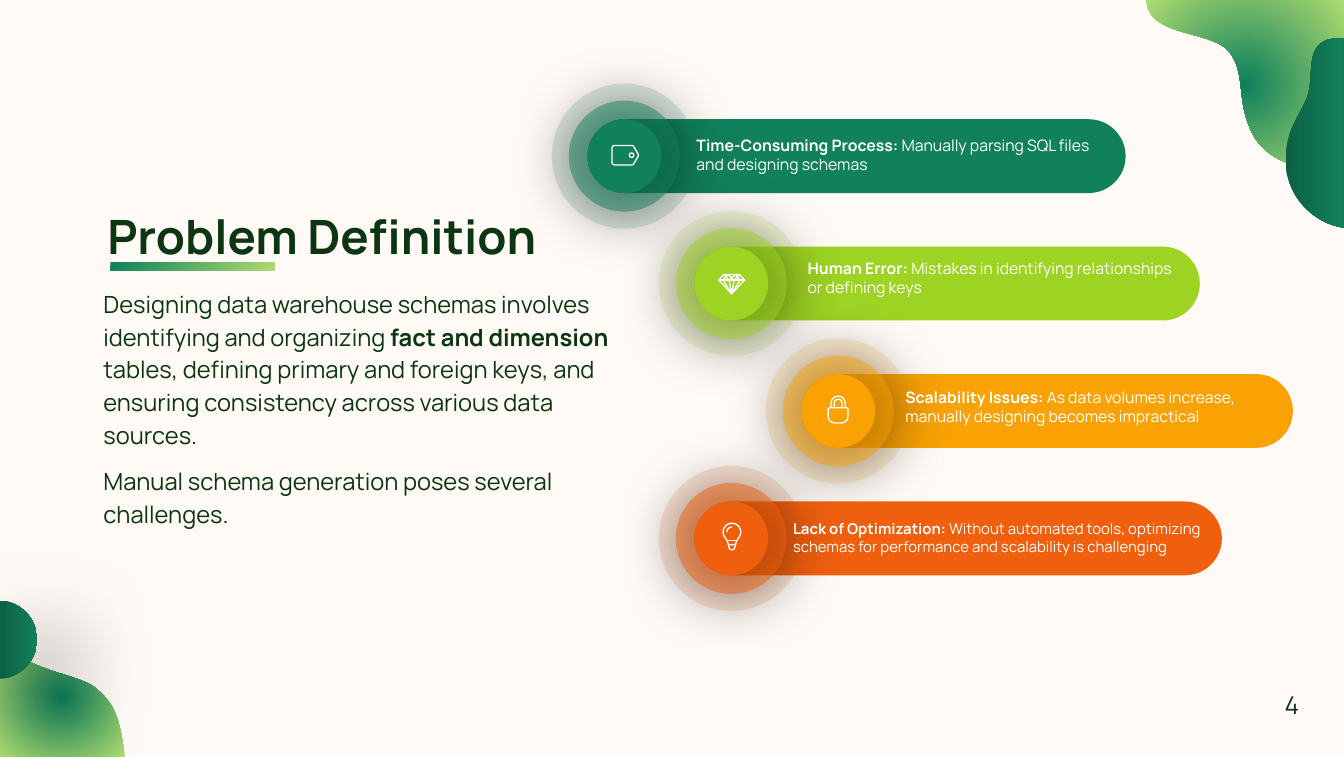
import dataclasses

import pptx
import pptx.dml.color
import pptx.enum.shapes
import pptx.enum.text
import pptx.oxml
import pptx.oxml.ns
import pptx.util

CELL = pptx.util.Inches(0.1)  # the grid has 213 columns and 120 rows
COLUMNS, ROWS = 213, 120
SHAPE = pptx.enum.shapes.MSO_SHAPE
ALIGN = pptx.enum.text.PP_ALIGN


@dataclasses.dataclass(frozen=True)
class Theme:
    font: str = "Manrope"
    paper: str = "FFFAF5"
    ink: str = "0C3512"
    white: str = "FFFFFF"
    black: str = "000000"
    forest: str = "0C6044"
    green: str = "11815C"
    leaf: str = "B0DC70"
    lime: str = "9DD323"
    amber: str = "FAA204"
    orange: str = "F05F0E"
    title_size: float = 54
    body_size: float = 27
    label_size: float = 18
    small_label_size: float = 17
    number_size: float = 28
    icon_line: float = 1.5


THEME = Theme()
RADIAL = ('<a:path path="circle"><a:fillToRect l="50000" t="50000" '
          'r="50000" b="50000"/></a:path>')

# Outlines in cells: M move, L line, C curve, Z close.
LOWER_WAVE = ("M 0 100.9 C 3.6 106.6 12.3 106.6 15.2 109.1 "
              "C 18.2 111.7 18.9 113.5 19.8 120 L 0 120 Z")
LOWER_DISC = ("M 0 95.2 L 0.9 95.3 C 3.7 95.8 5.9 98.4 5.9 101.4 "
              "C 5.9 104.4 3.7 106.9 0.9 107.5 L 0 107.6 Z")
UPPER_WAVE = ("M 181.6 0 C 182 6 192 4.7 194.8 8.2 C 197.5 11.6 195.9 15.5 198.2 20.6 "
              "C 200.4 25.6 206 27.4 213 26.6 L 213 0 Z")
UPPER_DROP = ("M 213 6.1 C 206 5.5 208.6 12 207.1 15.6 C 205.6 19.1 203.1 21.3 203.9 27.5 "
              "C 205.1 32.9 209.6 35.7 213 36.1 Z")

# Icons, measured from the corner of their disc.
TAG = ("M 4.35 4.15 L 7 4.15 C 7.15 4.15 7.25 4.2 7.35 4.35 L 8 5.45 C 8.1 5.6 8.1 5.8 8 5.95 "
       "L 7.35 7.05 C 7.25 7.2 7.15 7.25 7 7.25 L 4.35 7.25 C 4.1 7.25 3.9 7.05 3.9 6.8 "
       "L 3.9 4.6 C 3.9 4.35 4.1 4.15 4.35 4.15 Z "
       "M 6.65 5.7 C 6.65 5.25 7.35 5.25 7.35 5.7 C 7.35 6.15 6.65 6.15 6.65 5.7 Z")
DIAMOND = ("M 4.65 4.4 L 7.15 4.4 L 7.95 5.3 L 5.9 7.45 L 3.85 5.3 Z M 3.85 5.3 L 7.95 5.3 "
           "M 4.65 4.4 L 5.5 5.3 L 6.5 4.4 L 7.25 5.3 L 5.9 7.45 L 4.55 5.3 "
           "L 5.3 4.4 L 6.3 5.3 L 7.15 4.4 M 5.5 5.3 L 5.9 7.45 L 6.3 5.3")
PADLOCK = ("M 4.55 5.35 L 7.1 5.35 C 7.3 5.35 7.4 5.5 7.4 5.65 L 7.4 6.6 "
           "C 7.4 7.3 7 7.75 6.3 7.75 L 5.4 7.75 C 4.7 7.75 4.25 7.3 4.25 6.6 "
           "L 4.25 5.65 C 4.25 5.5 4.4 5.35 4.55 5.35 Z "
           "M 4.7 5.35 L 4.7 4.7 C 4.7 3.1 6.95 3.1 6.95 4.7 L 6.95 5.35 "
           "M 5.2 5.35 L 5.2 4.7 C 5.2 3.75 6.45 3.75 6.45 4.7 L 6.45 5.35")
BULB = ("M 5.95 3.45 C 5.15 3.45 4.55 4.1 4.55 4.85 C 4.55 5.5 5.2 6 5.35 6.7 "
        "C 5.5 7.3 5.5 7.65 5.95 7.65 C 6.4 7.65 6.4 7.3 6.55 6.7 "
        "C 6.7 6 7.35 5.5 7.35 4.85 C 7.35 4.1 6.75 3.45 5.95 3.45 Z "
        "M 5.15 6.2 L 6.75 6.2 M 5.45 6.9 L 6.45 6.8 M 5.15 4.85 C 5.15 4.4 5.5 4.05 5.95 4.05")


def cells(*values):
    return [round(value * CELL) for value in values]


def rgb(color):
    return pptx.dml.color.RGBColor.from_string(color)


def xml(tag, attributes="", content=""):
    namespace = pptx.oxml.ns.nsdecls("a")
    return pptx.oxml.parse_xml(f"<a:{tag} {namespace} {attributes}>{content}</a:{tag}>")


def contours(outline, left, top, steps=12):
    """Yield (points, closed) for each contour, with curves cut into short lines."""
    for part in outline.split("M")[1:]:
        tokens = part.replace("Z", "").replace("L", "|L").replace("C", "|C").split("|")
        points = [tuple(map(float, tokens[0].split()))]
        for token in tokens[1:]:
            numbers = list(map(float, token[1:].split()))
            corners = [points[-1], *zip(numbers[::2], numbers[1::2])]
            if token[0] == "L":
                points.append(corners[1])
                continue
            for step in range(1, steps + 1):
                t = step / steps
                weights = ((1 - t) ** 3, 3 * t * (1 - t) ** 2, 3 * t * t * (1 - t), t ** 3)
                points.append(tuple(sum(weight * corner[axis] for weight, corner
                                        in zip(weights, corners)) for axis in (0, 1)))
        yield [cells(left + x, top + y) for x, y in points], "Z" in part


class Page:
    def __init__(self, deck, theme):
        self.theme = theme
        self.slide = deck.slides.add_slide(deck.slide_layouts[5])
        self.slide.background.fill.solid()
        self.slide.background.fill.fore_color.rgb = rgb(theme.paper)

    def paint(self, shape, color, opacity=100):
        shape.shadow.inherit = False
        shape.line.fill.background()
        shape.fill.solid()
        shape.fill.fore_color.rgb = rgb(color)
        if opacity < 100:
            solid = shape._element.spPr.find(pptx.oxml.ns.qn("a:solidFill"))
            solid[0].append(xml("alpha", f'val="{opacity * 1000}"'))
        return shape

    def gradient(self, shape, stops, direction):
        self.paint(shape, stops[0][1])
        content = "".join(f'<a:gs pos="{place * 1000}"><a:srgbClr val="{color}"/></a:gs>'
                          for place, color in stops)
        properties = shape._element.spPr
        properties.replace(properties.find(pptx.oxml.ns.qn("a:solidFill")),
                           xml("gradFill", 'rotWithShape="1"',
                               f"<a:gsLst>{content}</a:gsLst>{direction}"))
        return shape

    def fresh_gradient(self, shape, direction):
        stops = [(0, self.theme.green), (2, self.theme.green), (100, self.theme.leaf)]
        return self.gradient(shape, stops, direction)

    def deep_gradient(self, shape):
        stops = [(0, self.theme.forest), (100, self.theme.green)]
        return self.gradient(shape, stops, '<a:lin ang="0" scaled="0"/>')

    def soft_shadow(self, shape, opacity, blur, distance, angle):
        effects = shape._element.spPr.find(pptx.oxml.ns.qn("a:effectLst"))
        effects.append(xml(
            "outerShdw", f'blurRad="{pptx.util.Pt(blur)}" dist="{pptx.util.Pt(distance)}" '
            f'dir="{angle * 60000}" algn="ctr" rotWithShape="0"',
            f'<a:srgbClr val="{self.theme.black}"><a:alpha val="{opacity * 1000}"/></a:srgbClr>'))

    def outline(self, outline, left=0, top=0):
        builder = None
        for points, closed in contours(outline, left, top):
            if builder is None:
                builder = self.slide.shapes.build_freeform(*points[0], scale=1.0)
            else:
                builder.move_to(*points[0])
            builder.add_line_segments(points[1:], close=closed)
        return builder.convert_to_shape()

    def icon(self, outline, left, top):
        shape = self.outline(outline, left, top)
        shape.shadow.inherit = False
        shape.fill.background()
        shape.line.color.rgb = rgb(self.theme.white)
        shape.line.width = pptx.util.Pt(self.theme.icon_line)

    def shape(self, kind, left, top, width, height):
        return self.slide.shapes.add_shape(kind, *cells(left, top, width, height))

    def text(self, box, spans, size, color, spacing=1.0, align=ALIGN.LEFT, inset=0.5):
        """Fill the box with one paragraph of (wording, bold) spans."""
        frame = box.text_frame
        frame.word_wrap = True
        frame.auto_size = pptx.enum.text.MSO_AUTO_SIZE.NONE
        frame.vertical_anchor = pptx.enum.text.MSO_ANCHOR.TOP
        frame.margin_left, frame.margin_right = cells(1, 1)
        frame.margin_top, frame.margin_bottom = cells(inset, inset)
        para = frame.paragraphs[0]
        para.alignment, para.line_spacing = align, spacing
        for wording, bold in spans:
            span = para.add_run()
            span.text = wording
            span.font.name, span.font.size = self.theme.font, pptx.util.Pt(size)
            span.font.bold, span.font.color.rgb = bold, rgb(color)

    def title(self, wording, left, top, width, height):
        box = self.slide.shapes.title
        box.left, box.top, box.width, box.height = cells(left, top, width, height)
        self.text(box, [(wording, True)], self.theme.title_size, self.theme.ink, 0.9)

    def text_box(self, place, spans, size, color, **style):
        box = self.slide.shapes.add_textbox(*cells(*place))
        self.text(box, spans, size, color, **style)

    def challenge(self, left, top, width, color, icon):
        """Draw a rounded bar that starts with a ringed icon disc."""
        disc = 11.7
        bar = self.paint(self.shape(SHAPE.ROUNDED_RECTANGLE, left, top, width, disc), color)
        bar.adjustments[0] = 0.5
        for size, opacity in ((23, 15), (17.6, 49), (disc, 100)):
            shift = (disc - size) / 2
            ring = self.shape(SHAPE.OVAL, left + shift, top + shift, size, size)
            self.paint(ring, color, opacity)
            if opacity == 49:
                self.soft_shadow(ring, opacity=49, blur=70, distance=4, angle=90)
        self.icon(icon, left, top)


def main():
    deck = pptx.Presentation()
    deck.slide_width, deck.slide_height = cells(COLUMNS, ROWS)
    page = Page(deck, THEME)

    page.fresh_gradient(page.outline(LOWER_WAVE), RADIAL)
    lower_disc = page.deep_gradient(page.outline(LOWER_DISC))
    page.soft_shadow(lower_disc, opacity=60, blur=100, distance=49, angle=45)
    page.fresh_gradient(page.outline(UPPER_WAVE), RADIAL)
    page.deep_gradient(page.outline(UPPER_DROP))

    page.title("Problem Definition", 16, 33.3, 82.1, 8.2)
    page.fresh_gradient(page.shape(SHAPE.RECTANGLE, 17.5, 41.6, 26, 1.3),
                        '<a:lin ang="2700000" scaled="0"/>')
    page.text_box((15.4, 44.8, 82.1, 24.6), [
        ("Designing data warehouse schemas involves identifying and organizing ", False),
        ("fact and dimension ", True),
        ("tables, defining primary and foreign keys, and ensuring consistency across "
         "various data sources.", False)], THEME.body_size, THEME.ink, spacing=1.15)
    page.text_box((15.4, 72.4, 82.1, 11.8),
                  [("Manual schema generation poses several challenges.", False)],
                  THEME.body_size, THEME.ink, spacing=1.15, inset=1)

    # indent, bar width, colour, icon, (text left, drop, width), size, heading, detail
    challenges = [
        (0, 85.3, THEME.green, TAG, (109.4, 2.2, 66.4), THEME.label_size,
         "Time-Consuming Process:", " Manually parsing SQL files and designing schemas"),
        (1, 80.1, THEME.lime, DIAMOND, (127, 1.5, 61.7), THEME.label_size,
         "Human Error:", " Mistakes in identifying relationships or defining keys"),
        (2, 77.9, THEME.amber, PADLOCK, (142.5, 1.7, 61.3), THEME.label_size,
         "Scalability Issues:",
         " As data volumes increase, manually designing becomes impractical"),
        (1, 83.6, THEME.orange, BULB, (124.7, 2.4, 68.9), THEME.small_label_size,
         "Lack of Optimization:", " Without automated tools, optimizing schemas for "
         "performance and scalability is challenging"),
    ]
    for row, (indent, width, color, icon, label, size, heading, detail) in enumerate(challenges):
        top = 18.9 + 20.2 * row
        page.challenge(93.1 + 16.95 * indent, top, width, color, icon)
        left, drop, label_width = label
        page.text_box((left, top + drop, label_width, 9.6),
                      [(heading, True), (detail, False)], size, THEME.white)

    page.text_box((196.5, 108.9, 16.5, 5.7), [("4", False)], THEME.number_size, THEME.ink,
                  align=ALIGN.CENTER)
    deck.save("out.pptx")


if __name__ == "__main__":
    main()
